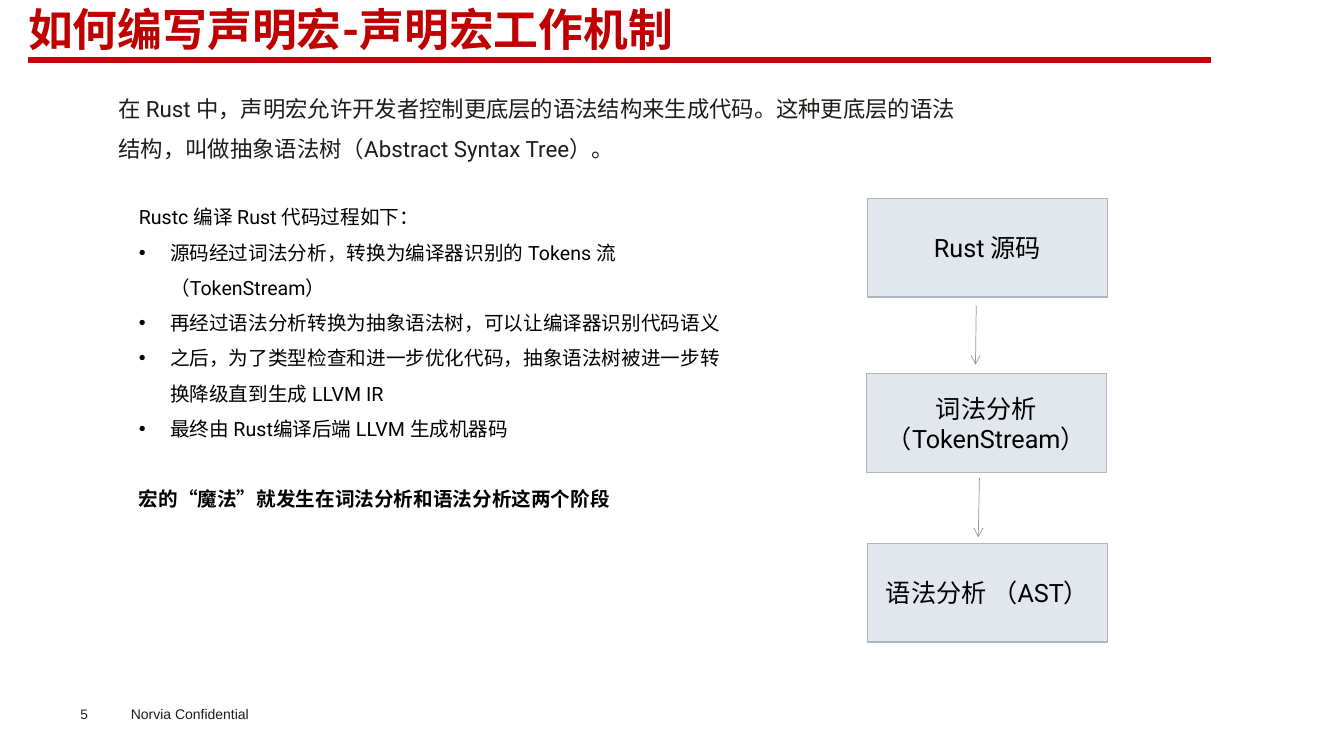
"""Build the slide on how declarative macros work in Rust."""
from lxml import etree
from pptx import Presentation
from pptx import util as u
from pptx.dml.color import RGBColor
from pptx.enum import shapes, text
from pptx.oxml.ns import qn

INK = "1D1D1A"
BLACK = "000000"
BOX_SIZE = (6.05, 2.49)
INDENT = 0.79

INTRO = ("在 Rust 中，声明宏允许开发者控制更底层的语法结构来生成代码。"
         "这种更底层的语法结构，叫做抽象语法树（Abstract Syntax Tree）。")
STEPS = [
    "源码经过词法分析，转换为编译器识别的 Tokens 流（TokenStream）",
    "再经过语法分析转换为抽象语法树，可以让编译器识别代码语义",
    "之后，为了类型检查和进一步优化代码，抽象语法树被进一步转换降级直到生成 LLVM IR",
    "最终由 Rust编译后端 LLVM 生成机器码",
]
STAGES = [
    ("Rust 源码", 21.87, 5.0),
    ("词法分析 （TokenStream）", 21.84, 9.42),
    ("语法分析 （AST）", 21.87, 13.69),
]
ARROWS = [
    ((24.61, 7.7), (24.59, 9.19)),
    ((24.69, 12.04), (24.66, 13.54)),
]


def color(value):
    return RGBColor.from_string(value)


def cms(*lengths):
    return [u.Cm(length) for length in lengths]


def style(para, size, ink, name="Roboto", bold=False):
    font = para.font
    font.size = u.Pt(size)
    font.name = name
    font.bold = bold
    font.color.rgb = color(ink)


def remove_insets(frame):
    frame.margin_left = frame.margin_right = 0
    frame.margin_top = frame.margin_bottom = 0


def add_bullet(para):
    props = para._p.get_or_add_pPr()
    props.set("marL", str(u.Cm(INDENT)))
    props.set("indent", str(-u.Cm(INDENT)))
    etree.SubElement(props, qn("a:buFont")).set("typeface", "Arial")
    etree.SubElement(props, qn("a:buChar")).set("char", "•")


def add_title(page, words):
    title = page.shapes.title
    title.left, title.top, title.width, title.height = cms(0.71, 0.18, 29.85, 1.55)
    frame = title.text_frame
    frame.text = words
    frame.auto_size = text.MSO_AUTO_SIZE.NONE
    frame.vertical_anchor = text.MSO_ANCHOR.TOP
    remove_insets(frame)
    para = frame.paragraphs[0]
    para.alignment = text.PP_ALIGN.LEFT
    para.line_spacing = u.Pt(34.3)
    style(para, 32, "C00000", bold=True)


def add_text(page, place, words, size, ink, name="Roboto", spacing=1.0):
    box = page.shapes.add_textbox(*cms(*place))
    frame = box.text_frame
    frame.word_wrap = True
    para = frame.paragraphs[0]
    para.text = words
    para.line_spacing = spacing
    style(para, size, ink, name)
    return frame


def add_steps(page):
    frame = add_text(page, (3.25, 4.75, 15.6, 12.88),
                     "Rustc 编译 Rust 代码过程如下：", 14, BLACK, spacing=1.5)
    for step in STEPS:
        para = frame.add_paragraph()
        para.text = step
        add_bullet(para)
        para.line_spacing = 1.5
        style(para, 14, BLACK)
    closing = frame.add_paragraph()
    closing.text = "宏的“魔法”就发生在词法分析和语法分析这两个阶段"
    closing.line_spacing = 1.5
    closing.space_before = u.Pt(25)
    style(closing, 14, BLACK, bold=True)


def add_stage(page, words, left, top):
    box = page.shapes.add_shape(shapes.MSO_SHAPE.RECTANGLE, *cms(left, top, *BOX_SIZE))
    box.shadow.inherit = False
    box.fill.solid()
    box.fill.fore_color.rgb = color("E2E6ED")
    box.line.color.rgb = color("AEB5C0")
    box.line.width = u.Pt(1)
    frame = box.text_frame
    frame.word_wrap = True
    frame.vertical_anchor = text.MSO_ANCHOR.MIDDLE
    para = frame.paragraphs[0]
    para.text = words
    para.alignment = text.PP_ALIGN.CENTER
    style(para, 18, BLACK)


def add_line(page, start, end, ink, width, arrow=False):
    line = page.shapes.add_connector(shapes.MSO_CONNECTOR.STRAIGHT, *cms(*start, *end))
    line.line.color.rgb = color(ink)
    line.line.width = u.Pt(width)
    if arrow:
        outline = line.line._get_or_add_ln()
        etree.SubElement(outline, qn("a:tailEnd")).set("type", "arrow")
    etree.SubElement(line._element.spPr, qn("a:effectLst"))


def main():
    deck = Presentation()
    deck.slide_width, deck.slide_height = cms(33.88, 19.05)
    page = deck.slides.add_slide(deck.slide_layouts[5])
    add_title(page, "如何编写声明宏-声明宏工作机制")
    add_line(page, (0.71, 1.52), (30.53, 1.52), "C7000A", 4.5)
    add_text(page, (2.74, 1.93, 21.84, 2.29), INTRO, 16, INK, spacing=1.5)
    add_steps(page)
    for words, left, top in STAGES:
        add_stage(page, words, left, top)
    for start, end in ARROWS:
        add_line(page, start, end, "979797", 0.5, arrow=True)
    add_text(page, (3.05, 17.65, 4.06, 0.69), "Norvia Confidential", 10, INK, "Arial")
    number = add_text(page, (2.03, 17.78, 1.4, 0.41), "5", 9.8, INK, "Arial")
    remove_insets(number)
    deck.save("out.pptx")


if __name__ == "__main__":
    main()
